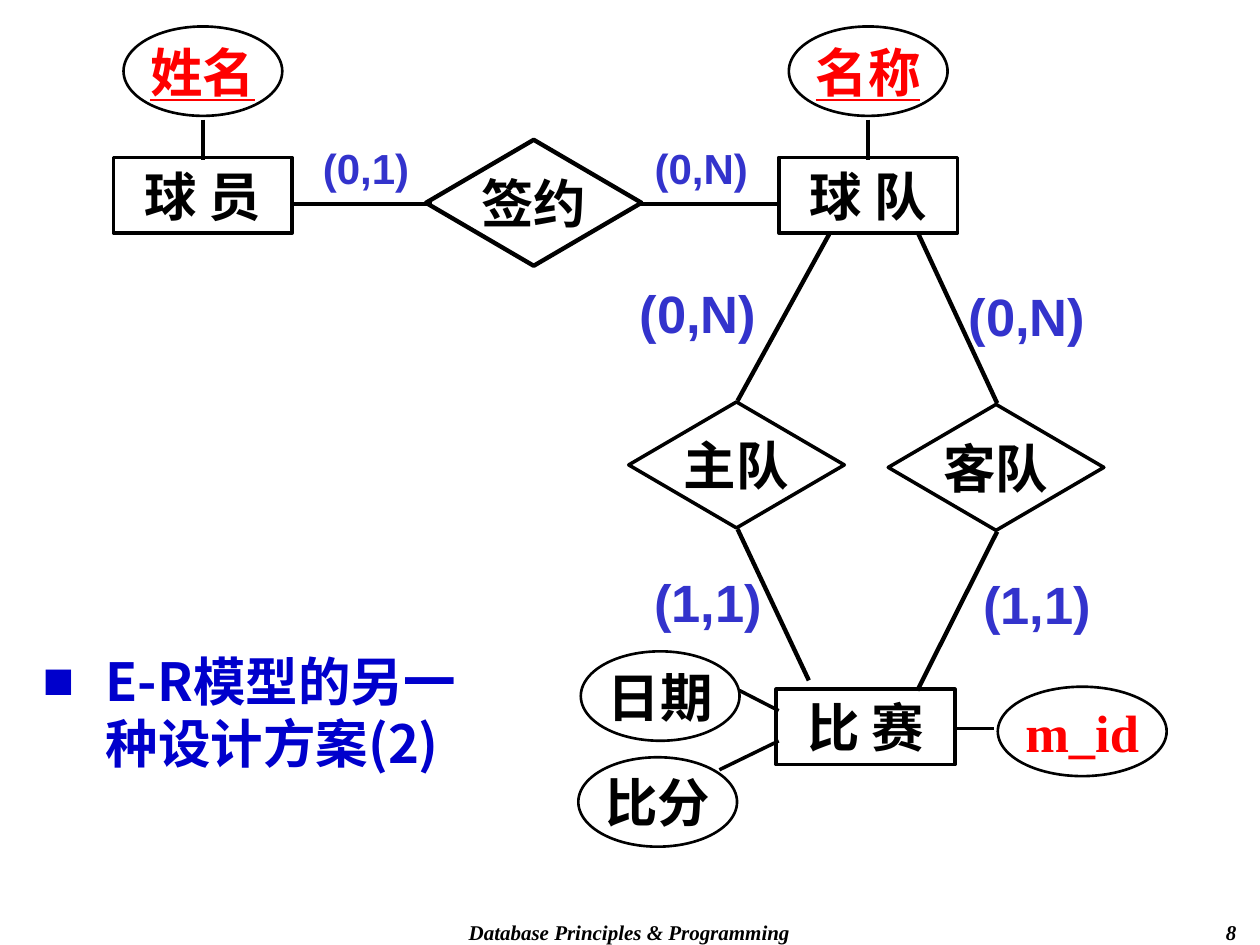
from dataclasses import dataclass

from lxml.etree import SubElement
from pptx import Presentation
from pptx.dml.color import RGBColor
from pptx.enum.shapes import MSO_CONNECTOR, MSO_SHAPE
from pptx.enum.text import MSO_ANCHOR, PP_ALIGN
from pptx.oxml.ns import qn
from pptx.util import Pt


@dataclass(frozen=True)
class Theme:
    ink: str = "000000"
    key: str = "FF0000"
    card: str = "3333CC"
    title: str = "0000CC"
    serif: str = "Times New Roman"
    sans: str = "Arial"
    han: str = "Noto Sans CJK SC"
    big: float = 30
    mid: float = 24
    small: float = 12
    thin: float = 1.5
    line: float = 2
    bold: float = 2.5


T = Theme()
BOX = (102.2, 43.2)
OVAL = (90.7, 51.1)
RHOMB = (123.2, 72)


def put(item, form):
    """Set each value of a format dict on an object."""
    for name, value in form.items():
        setattr(item, name, value)


def write(shape, text, color=T.ink, face=T.serif, size=T.big, **look):
    """Put one paragraph of bold text in a shape."""
    frame = shape.text_frame
    put(frame, {"word_wrap": look.pop("wrap", False),
                "vertical_anchor": look.pop("anchor", MSO_ANCHOR.MIDDLE)})
    side, top = look.pop("pad", (0, 0))
    put(frame, {"margin_left": Pt(side), "margin_right": Pt(side),
                "margin_top": Pt(top), "margin_bottom": Pt(top)})
    para = frame.paragraphs[0]
    para.alignment = look.pop("align", PP_ALIGN.CENTER)
    run = para.add_run()
    run.text = text
    put(run.font, {"name": face, "size": Pt(size), "bold": True, **look})
    run.font.color.rgb = RGBColor.from_string(color)
    latin = run.font._element.find(qn("a:latin"))
    east = SubElement(run.font._element, qn("a:ea"), typeface=T.han)
    latin.addnext(east)
    return para


def node(slide, kind, spot, area, text, width=T.line, **look):
    """Draw an outlined shape with its name."""
    shape = slide.shapes.add_shape(kind, *map(Pt, (*spot, *area)))
    shape.shadow.inherit = False
    shape.fill.background()
    shape.line.color.rgb = RGBColor.from_string(T.ink)
    shape.line.width = Pt(width)
    write(shape, text, **look)


def box(slide, spot, text):
    node(slide, MSO_SHAPE.RECTANGLE, spot, BOX, text)


def oval(slide, spot, text, area=OVAL, **look):
    node(slide, MSO_SHAPE.OVAL, spot, area, text, T.thin, **look)


def rhomb(slide, spot, text, width=T.line):
    node(slide, MSO_SHAPE.DIAMOND, spot, RHOMB, text, width)


def link(slide, start, end, width=T.line):
    """Draw a straight line between two points."""
    line = slide.shapes.add_connector(
        MSO_CONNECTOR.STRAIGHT, *map(Pt, (*start, *end)))
    line.line.color.rgb = RGBColor.from_string(T.ink)
    line.line.width = Pt(width)
    SubElement(line._element.spPr, qn("a:effectLst"))


def label(slide, spot, area, text, **look):
    """Add a text box."""
    shape = slide.shapes.add_textbox(*map(Pt, (*spot, *area)))
    return write(shape, text, **look)


def card(slide, spot, text, size=T.big):
    """Add a cardinality such as (0,1)."""
    area = (67.7, 36) if size == T.big else (54, 28.8)
    label(slide, spot, area, text, color=T.card, face=T.sans, size=size)


def keyed(slide, left, text, key):
    """Draw an entity with its key above it."""
    box(slide, (left, 90), text)
    oval(slide, (left + 5.8, 15.1), key, color=T.key, underline=True)
    mid = left + BOX[0] / 2
    link(slide, (mid, 68.4), (mid, 91.4))


def role(slide, spot, text, team, match, shift):
    """Draw a relation between team and match."""
    left, top = spot
    mid = left + RHOMB[0] / 2 + 0.6
    link(slide, team, (mid, top - 0.7), T.bold)
    rhomb(slide, spot, text)
    link(slide, match, (mid, top + RHOMB[1] + 0.7), T.bold)
    card(slide, (left + shift, top - 68.8), "(0,N)")
    card(slide, (left + shift + 5.8, top + 95.8), "(1,1)")


def topic(slide):
    """Add the bulleted heading."""
    para = label(slide, (17.3, 363.6), (252.7, 115.2),
                 "E-R模型的另一种设计方案(2)", color=T.title, face=T.han,
                 wrap=True, anchor=MSO_ANCHOR.TOP, align=PP_ALIGN.LEFT,
                 pad=(7.2, 7.6))
    para.line_spacing = Pt(35.5)
    props = para._p.get_or_add_pPr()
    props.set("marL", str(Pt(36)))
    props.set("indent", str(Pt(-36)))
    tint = SubElement(props, qn("a:buClr"))
    SubElement(tint, qn("a:srgbClr"), val=T.title)
    SubElement(props, qn("a:buFont"), typeface=T.sans)
    SubElement(props, qn("a:buChar"), char="■")


def foot(slide):
    """Add the footer and page number."""
    look = {"size": T.small, "italic": True, "wrap": True,
            "anchor": MSO_ANCHOR.TOP, "pad": (7.2, 3.6)}
    label(slide, (203.8, 522), (311.8, 18),
          "Database Principles & Programming", **look)
    label(slide, (563.8, 522), (149.8, 18), "8",
          align=PP_ALIGN.RIGHT, **look)


def main():
    deck = Presentation()
    put(deck, {"slide_width": Pt(720), "slide_height": Pt(540)})
    slide = deck.slides.add_slide(deck.slide_layouts[6])
    foot(slide)

    # Player signs with team
    card(slide, (182.2, 81.4), "(0,1)", T.mid)
    card(slide, (373.7, 81.4), "(0,N)", T.mid)
    keyed(slide, 64.8, "球 员", "姓名")
    keyed(slide, 445, "球 队", "名称")
    rhomb(slide, (243.4, 79.9), "签约", T.bold)
    for start, end in ((366.5, 445.7), (167.8, 247)):
        link(slide, (start, 116.6), (end, 116.6), T.bold)

    # Match and its fields
    oval(slide, (570.2, 392.4), "m_id", (96.5, 51.1), color=T.key)
    link(slide, (545.8, 416.2), (568.1, 416.2))
    box(slide, (443.5, 393.8), "比 赛")
    oval(slide, (331.9, 372.2), "日期")
    link(slide, (422.6, 394.6), (445, 406.1))
    oval(slide, (330.5, 432.7), "比分")
    link(slide, (411.1, 439.9), (445, 423.4))

    # Home and away roles
    role(slide, (507.6, 231.1), "客队", (524.9, 133.9), (524.2, 394.6), 45.4)
    role(slide, (359.3, 229.7), "主队", (473.8, 133.9), (462.2, 388.8), 5.8)

    topic(slide)
    deck.save("out.pptx")


if __name__ == "__main__":
    main()
